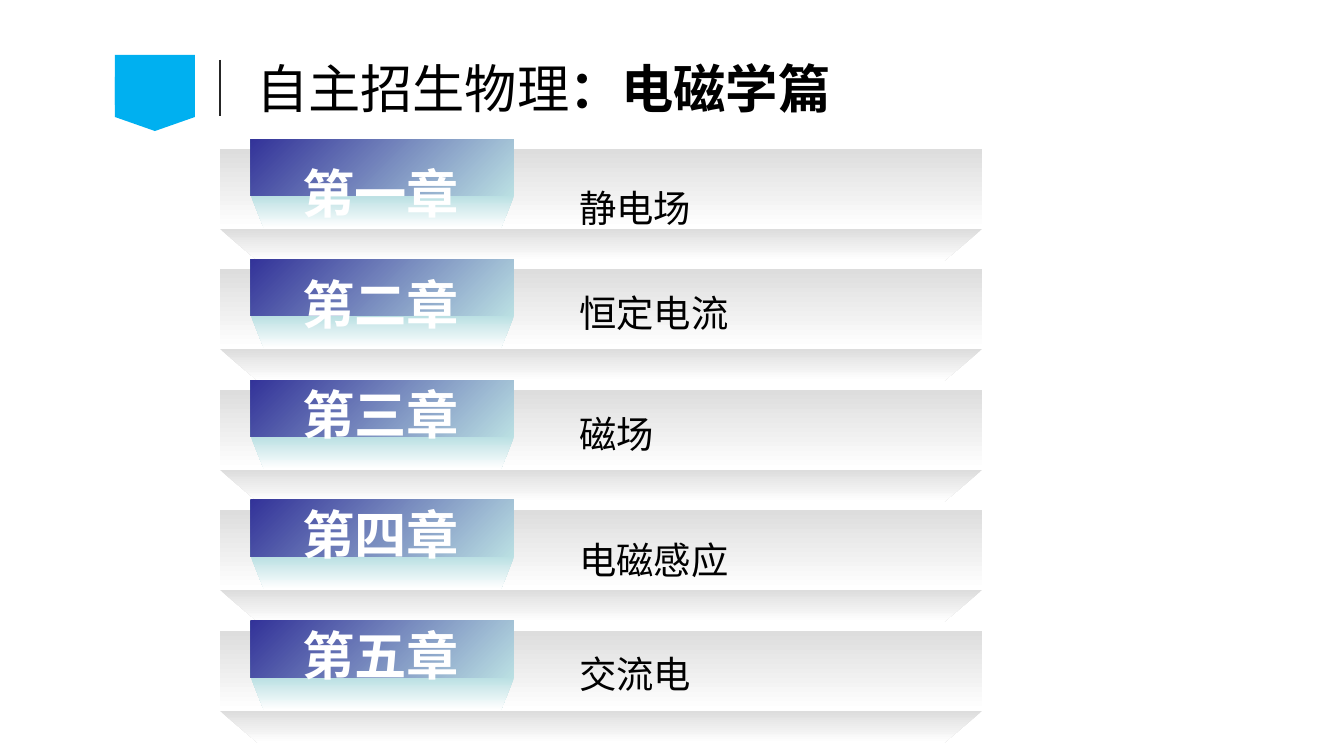
"""Build the chapter overview slide for the electromagnetism course."""

from typing import NamedTuple

from lxml.etree import SubElement
from pptx import Presentation
from pptx.dml.color import RGBColor as Rgb
from pptx.enum.shapes import MSO_CONNECTOR as Line, MSO_SHAPE as Kind
from pptx.enum.text import MSO_ANCHOR as Anchor, MSO_AUTO_SIZE as Auto
from pptx.oxml.ns import qn
from pptx.util import Pt

SCALE = 914400 / 134.4
PITCH = 120.4
FIRST = 149

BLACK = Rgb(0x00, 0x00, 0x00)
WHITE = Rgb(0xFF, 0xFF, 0xFF)
BLUE = Rgb(0x00, 0xB0, 0xF0)
DARK = Rgb(0x26, 0x26, 0x26)
GRAY = Rgb(0xDD, 0xDD, 0xDD)
MINT = Rgb(0xBB, 0xE0, 0xE3)
NAVY = Rgb(0x33, 0x33, 0x99)

DOWN = 270
RISE = 135


class Box(NamedTuple):
    x: int
    y: int
    w: int
    h: int


class Blend(NamedTuple):
    start: Rgb
    end: Rgb
    angle: int


class Style(NamedTuple):
    font: str
    size: int
    color: Rgb
    bold: bool


class Row(NamedTuple):
    label: str
    label_y: int
    label_w: int
    topic: str
    topic_y: int
    topic_w: int


PANEL = Blend(GRAY, WHITE, DOWN)
TAB = Blend(MINT, NAVY, RISE)
FLAP = Blend(MINT, WHITE, DOWN)

TITLE = Style("Arial", 28, BLACK, False)
LABEL = Style("Noto Sans CJK SC", 28, WHITE, True)
TOPIC = Style("Calibri", 20, BLACK, False)

ROWS = [
    Row("第一章", 155, 202, "静电场", 179, 382),
    Row("第二章", 266, 191, "恒定电流", 284, 401),
    Row("第三章", 376, 214, "磁场", 405, 392),
    Row("第四章", 496, 214, "电磁感应", 531, 382),
    Row("第五章", 617, 214, "交流电", 645, 392),
]


def emu(px: int) -> int:
    return round(px * SCALE)


def paint(shape, fill: Rgb | Blend) -> None:
    shape.shadow.inherit = False
    shape.line.fill.background()
    if isinstance(fill, Blend):
        shape.fill.gradient()
        shape.fill.gradient_angle = fill.angle
        for stop, color in zip(shape.fill.gradient_stops, fill[:2]):
            stop.color.rgb = color
    else:
        shape.fill.solid()
        shape.fill.fore_color.rgb = fill


def add_rect(shapes, box: Box, fill: Rgb | Blend) -> None:
    paint(shapes.add_shape(Kind.RECTANGLE, *map(emu, box)), fill)


def add_poly(shapes, points: list[tuple[int, int]], fill: Rgb | Blend) -> None:
    first, *rest = [(emu(x), emu(y)) for x, y in points]
    pen = shapes.build_freeform(*first)
    pen.add_line_segments(rest, close=True)
    paint(pen.convert_to_shape(), fill)


def add_fold(shapes, box: Box, inset: int, fill: Blend) -> None:
    x, y, w, h = box
    points = [(x, y), (x + inset, y + h), (x + w - inset, y + h), (x + w, y)]
    add_poly(shapes, points, fill)


def add_text(shapes, box: Box, text: str, style: Style):
    frame = shapes.add_textbox(*map(emu, box)).text_frame
    frame.word_wrap = True
    frame.auto_size = Auto.SHAPE_TO_FIT_TEXT
    line = frame.paragraphs[0]
    line.add_run().text = text
    line.font.name = style.font
    line.font.size = Pt(style.size)
    line.font.color.rgb = style.color
    line.font.bold = style.bold
    return frame


def add_head(shapes) -> None:
    badge = shapes.add_group_shape().shapes
    tip = [(195, 77), (195, 117), (155, 131), (115, 117), (115, 77)]
    add_poly(badge, tip, BLUE)
    add_rect(badge, Box(115, 55, 80, 50), BLUE)
    rule = shapes.add_connector(Line.STRAIGHT, *map(emu, (220, 60, 220, 116)))
    rule.line.color.rgb = DARK
    rule.line.width = Pt(0.75)
    SubElement(rule._element.spPr, qn("a:effectLst"))
    frame = add_text(shapes, Box(243, 36, 849, 104), "自主招生物理", TITLE)
    frame.auto_size = Auto.NONE
    frame.vertical_anchor = Anchor.MIDDLE
    name = frame.paragraphs[0].add_run()
    name.text = "：电磁学篇"
    name.font.bold = True


def add_row(shapes, row: Row, top: int) -> None:
    band = shapes.add_group_shape().shapes
    add_rect(band, Box(220, top, 762, 80), PANEL)
    add_rect(band, Box(251, top - 10, 263, 57), TAB)
    add_fold(band, Box(220, top + 80, 762, 32), 38, PANEL)
    add_fold(band, Box(251, top + 47, 263, 32), 13, FLAP)
    add_text(shapes, Box(289, row.label_y, row.label_w, 77), row.label, LABEL)
    add_text(shapes, Box(566, row.topic_y, row.topic_w, 59), row.topic, TOPIC)


def main() -> None:
    deck = Presentation()
    deck.slide_width = emu(1344)
    deck.slide_height = emu(756)
    shapes = deck.slides.add_slide(deck.slide_layouts[6]).shapes
    add_head(shapes)
    for i, row in enumerate(ROWS):
        add_row(shapes, row, FIRST + round(i * PITCH))
    deck.save("out.pptx")


if __name__ == "__main__":
    main()
